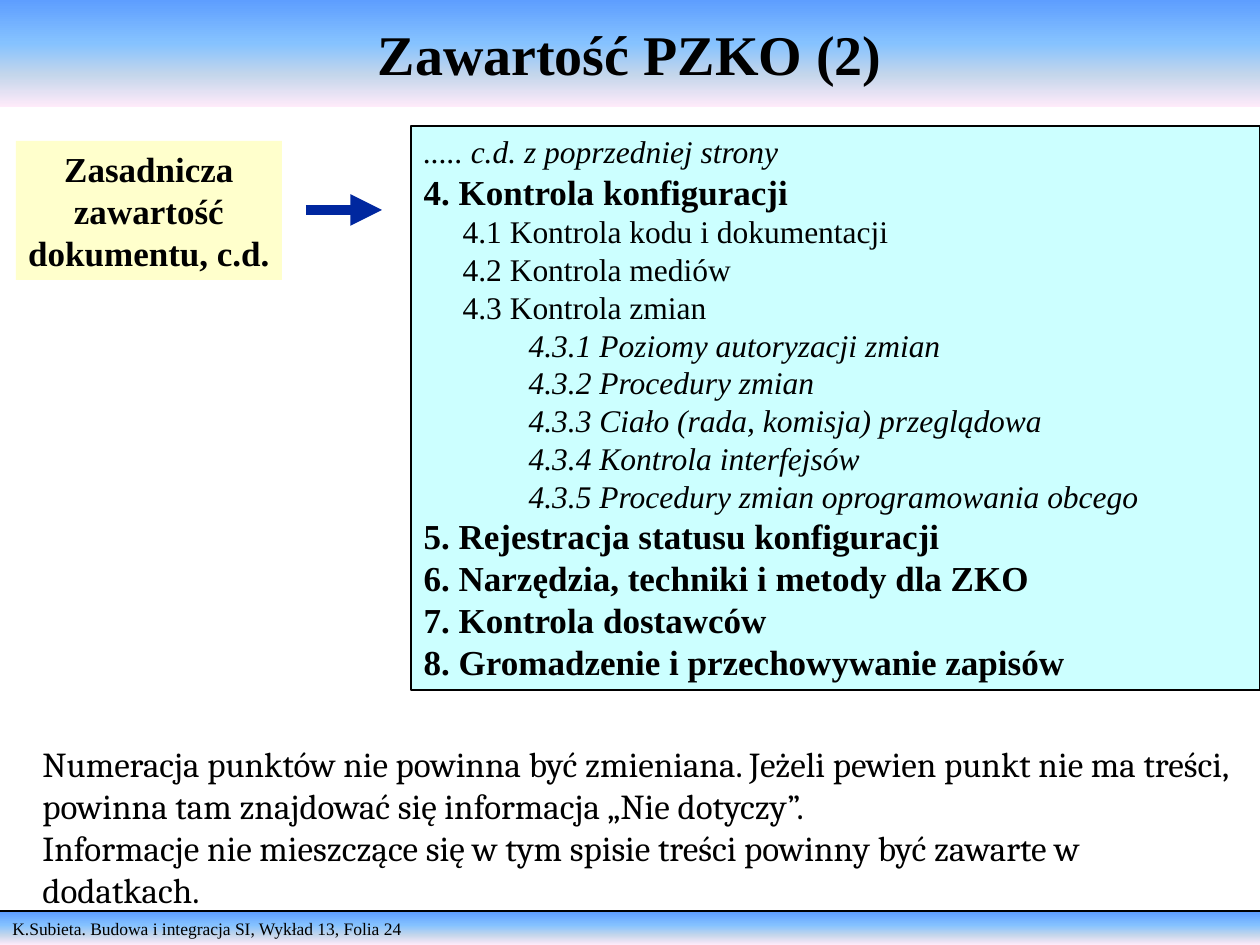
import pptx
import pptx.util
import pptx.dml.color
import pptx.enum.shapes
import pptx.enum.text
import pptx.oxml
import pptx.oxml.ns

RGB = pptx.dml.color.RGBColor
BLACK = RGB(0x00, 0x00, 0x00)
AQUA = RGB(0xCC, 0xFF, 0xFF)
CREAM = RGB(0xFF, 0xFF, 0xCC)
NAVY = RGB(0x00, 0x27, 0x9F)
SKY = [(0, RGB(0x5E, 0x9E, 0xFF)), (40, RGB(0x85, 0xC2, 0xFF)),
       (70, RGB(0xC4, 0xD6, 0xEB)), (100, RGB(0xFF, 0xEB, 0xFA))]
SERIF = "Times New Roman"
PX = 914400 / 126
RECT = pptx.enum.shapes.MSO_SHAPE.RECTANGLE
ALIGN = pptx.enum.text.PP_ALIGN
ANCHOR = pptx.enum.text.MSO_ANCHOR
FIT = pptx.enum.text.MSO_AUTO_SIZE
Pt = pptx.util.Pt
qn = pptx.oxml.ns.qn


def px(*sizes):
    return [round(size * PX) for size in sizes]


def style(para, size, bold=False, italic=False, face=SERIF):
    for run in para.runs:
        font = run.font
        font.name, font.size = face, Pt(size)
        font.bold, font.italic = bold, italic
        font.color.rgb = BLACK


deck = pptx.Presentation()
deck.slide_width, deck.slide_height = px(1260, 945)
slide = deck.slides.add_slide(deck.slide_layouts[1])
shapes = slide.shapes

# Title
title = shapes.title
title.left, title.top, title.width, title.height = px(0, 0, 1260, 107)
title.text_frame.text = "Zawartość PZKO (2)"
title.text_frame.vertical_anchor = ANCHOR.MIDDLE
title.text_frame.paragraphs[0].alignment = ALIGN.CENTER
style(title.text_frame.paragraphs[0], 32, bold=True)

# Footer
foot = shapes.add_shape(RECT, *px(0, 912, 1260, 33))
foot.shadow.inherit = False
foot.line.fill.background()
frame = foot.text_frame
frame.text = "K.Subieta. Budowa i integracja SI, Wykład 13, Folia 24"
frame.vertical_anchor = ANCHOR.TOP
frame.paragraphs[0].alignment = ALIGN.LEFT
style(frame.paragraphs[0], 10)

# Gradient of both bands
for band in (title, foot):
    band.fill.gradient()
    band.fill.gradient_angle = 270
    stops = band._element.spPr.find(qn("a:gradFill")).find(qn("a:gsLst"))
    for stop in list(stops):
        stops.remove(stop)
    for place, color in SKY:
        stops.append(pptx.oxml.parse_xml(
            f'<a:gs {pptx.oxml.ns.nsdecls("a")} pos="{place * 1000}">'
            f'<a:srgbClr val="{color}"/></a:gs>'))

# Contents list: level, text
ITEMS = [
    (0, "..... c.d. z poprzedniej strony"),
    (1, "4. Kontrola konfiguracji"),
    (2, "4.1 Kontrola kodu i dokumentacji"),
    (2, "4.2 Kontrola mediów"),
    (2, "4.3 Kontrola zmian"),
    (3, "4.3.1 Poziomy autoryzacji zmian"),
    (3, "4.3.2 Procedury zmian"),
    (3, "4.3.3 Ciało (rada, komisja) przeglądowa"),
    (3, "4.3.4 Kontrola interfejsów"),
    (3, "4.3.5 Procedury zmian oprogramowania obcego"),
    (1, "5. Rejestracja statusu konfiguracji"),
    (1, "6. Narzędzia, techniki i metody dla ZKO"),
    (1, "7. Kontrola dostawców"),
    (1, "8. Gromadzenie i przechowywanie zapisów"),
]
INDENT = px(0, 0, 39, 105)
body = slide.placeholders[1]
body.left, body.top, body.width, body.height = px(411, 126, 849, 564)
body.fill.solid()
body.fill.fore_color.rgb = AQUA
body.line.color.rgb = BLACK
body.line.width = Pt(1)
frame = body.text_frame
frame.text = "\n".join(text for level, text in ITEMS)
frame.auto_size = FIT.NONE
frame.vertical_anchor = ANCHOR.TOP
for para, (level, text) in zip(frame.paragraphs, ITEMS):
    props = para._p.get_or_add_pPr()
    props.set("marL", str(INDENT[level]))
    props.set("indent", "0")
    props.append(props.makeelement(qn("a:buNone"), {}))
    para.space_before = Pt(0)
    style(para, 20 if level == 1 else 18, level == 1, level in (0, 3))

# Label
label = shapes.add_shape(RECT, *px(16, 141, 266, 139))
label.shadow.inherit = False
label.fill.solid()
label.fill.fore_color.rgb = CREAM
label.line.fill.background()
frame = label.text_frame
frame.text = "Zasadnicza\nzawartość\ndokumentu, c.d."
frame.word_wrap = False
frame.vertical_anchor = ANCHOR.TOP
for para in frame.paragraphs:
    para.alignment = ALIGN.CENTER
    style(para, 20, bold=True)

# Arrow and footer rule
arrow, rule = [
    shapes.add_connector(pptx.enum.shapes.MSO_CONNECTOR.STRAIGHT, *px(*ends))
    for ends in ((306, 210, 382, 210), (0, 911, 1260, 911))]
for line, color, width in ((arrow, NAVY, 6), (rule, BLACK, 1)):
    line.line.color.rgb = color
    line.line.width = Pt(width)
    props = line._element.spPr
    props.append(props.makeelement(qn("a:effectLst"), {}))
tip = arrow.line._get_or_add_ln()
tip.append(tip.makeelement(qn("a:tailEnd"), {"type": "triangle"}))

# Note
note = shapes.add_textbox(*px(30, 736, 1220, 139))
frame = note.text_frame
frame.word_wrap = True
frame.auto_size = FIT.SHAPE_TO_FIT_TEXT
frame.text = (
    "Numeracja punktów nie powinna być zmieniana. Jeżeli pewien punkt "
    "nie ma treści, powinna tam znajdować się informacja „Nie dotyczy”.\n"
    "Informacje nie mieszczące się w tym spisie treści powinny być "
    "zawarte w dodatkach.")
for para in frame.paragraphs:
    style(para, 20, face="Cambria")

deck.save("out.pptx")
